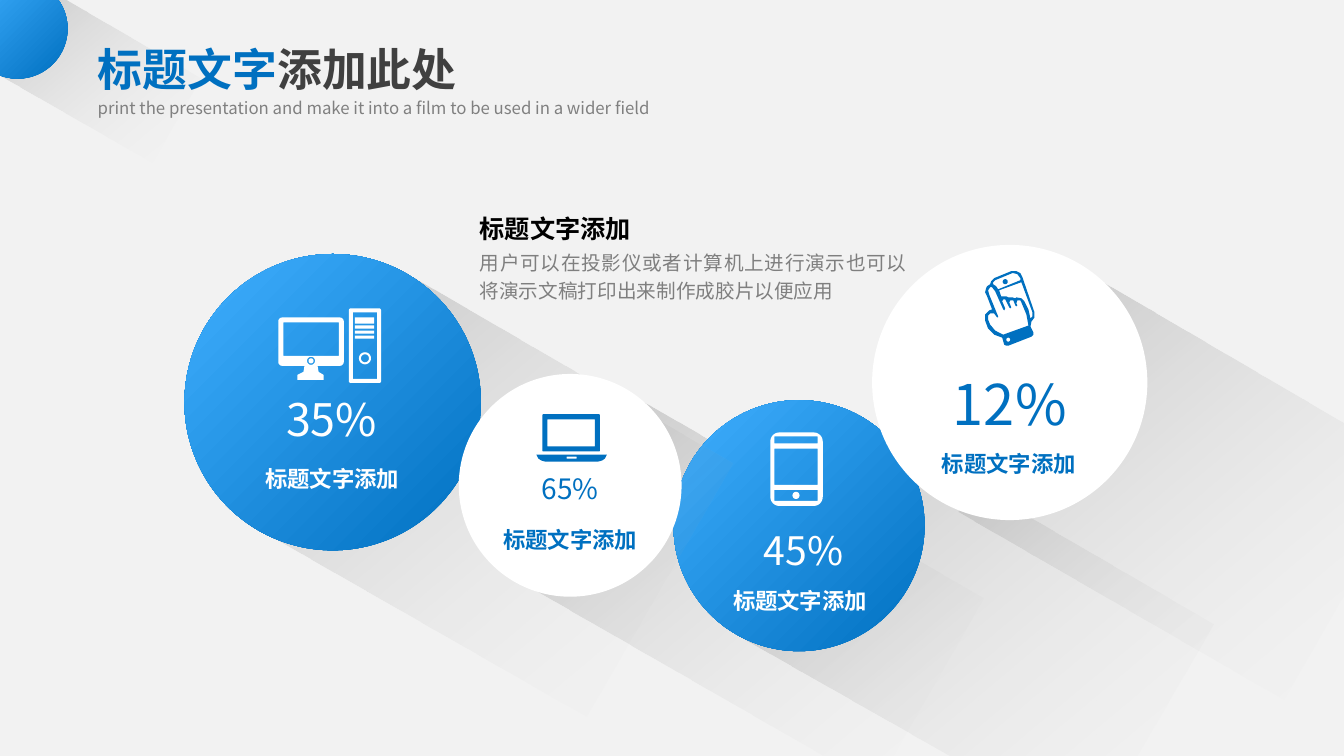
import math

from pptx import Presentation
from pptx.dml.color import RGBColor
from pptx.enum import shapes, text
from pptx.oxml import ns
from lxml import etree

PX = 9144  # EMU in one px, 100 px to the inch
FONT = "Noto Sans CJK SC"
BLUE, SKY, WHITE, PAPER = "0070C0", "40AFFF", "FFFFFF", "F2F2F2"
LEFT, CENTER, JUSTIFY = (text.PP_ALIGN.LEFT, text.PP_ALIGN.CENTER,
                         text.PP_ALIGN.JUSTIFY)
TOP, MIDDLE = text.MSO_ANCHOR.TOP, text.MSO_ANCHOR.MIDDLE
LABEL = "标题文字添加"


def color(value):
    return RGBColor.from_string(value)


def rounded(left, top, right, bottom, radius=0):
    """Corner points of a rectangle, each corner turned into a short arc."""
    if not radius:
        return [(left, top), (right, top), (right, bottom), (left, bottom)]
    centers = [(right - radius, bottom - radius), (left + radius, bottom - radius),
               (left + radius, top + radius), (right - radius, top + radius)]
    points = []
    for quarter, (x, y) in enumerate(centers):
        for step in range(7):
            angle = math.radians(90 * quarter + 15 * step)
            points.append((x + radius * math.cos(angle), y + radius * math.sin(angle)))
    return points


def disc(x, y, radius):
    return rounded(x - radius, y - radius, x + radius, y + radius, radius)


class Slide:
    def __init__(self, deck):
        self.page = deck.slides.add_slide(deck.slide_layouts[5])
        self.page.background.fill.solid()
        self.page.background.fill.fore_color.rgb = color(PAPER)

    def finish(self, shape, fill):
        shape.shadow.inherit = False
        shape.line.fill.background()
        if fill:
            shape.fill.solid()
            shape.fill.fore_color.rgb = color(fill)

    def gradient(self, shape, angle, colors, opacities=()):
        shape.fill.gradient()
        shape.fill.gradient_angle = 360 - angle
        for stop, value in zip(shape.fill.gradient_stops, colors):
            stop.color.rgb = color(value)
        marks = shape.element.spPr.findall(".//" + ns.qn("a:srgbClr"))
        for mark, opacity in zip(marks, opacities):
            etree.SubElement(mark, ns.qn("a:alpha")).set("val", str(opacity * 1000))

    def circle(self, left, top, size, fill=None):
        """A plain circle, or a blue gradient one when no fill is given."""
        shape = self.page.shapes.add_shape(
            shapes.MSO_SHAPE.OVAL, left * PX, top * PX, size * PX, size * PX)
        self.finish(shape, fill)
        if not fill:
            self.gradient(shape, 225, (BLUE, SKY))

    def outline(self, contours, fill=None):
        """One freeform; contours inside others become holes."""
        builder = None
        for contour in contours:
            start, *rest = [(x * PX, y * PX) for x, y in contour]
            if builder is None:
                builder = self.page.shapes.build_freeform(*start, scale=1.0)
            else:
                builder.move_to(*start)
            builder.add_line_segments(rest, close=True)
        shape = builder.convert_to_shape()
        self.finish(shape, fill)
        return shape

    def long_shadow(self, pivot, corners, tilt=30):
        """A fading strip, drawn level and then turned about its pivot."""
        cos, sin = math.cos(math.radians(tilt)), math.sin(math.radians(tilt))
        offsets = [(x - pivot[0], y - pivot[1]) for x, y in corners]
        level = [(pivot[0] + x * cos + y * sin, pivot[1] - x * sin + y * cos)
                 for x, y in offsets]
        shape = self.outline([level])
        shape.rotation = tilt
        self.gradient(shape, 20, ("000000", PAPER), (20, 0))

    def fill_text(self, box, spans, size, bold=False, align=LEFT, spacing=None,
                  wrap=True, anchor=TOP, inset=True):
        """Fill a box with one paragraph of (words, colour) spans."""
        frame = box.text_frame
        frame.auto_size = text.MSO_AUTO_SIZE.NONE
        frame.word_wrap = wrap
        frame.vertical_anchor = anchor
        frame.margin_left = frame.margin_right = 10 * PX * inset
        frame.margin_top = frame.margin_bottom = 5 * PX * inset
        para = frame.paragraphs[0]
        para.alignment = align
        if spacing:
            para.line_spacing = spacing
        for words, value in spans:
            span = para.add_run()
            span.text = words
            span.font.size = size * 12700
            span.font.bold = bold
            span.font.name = FONT
            span.font.color.rgb = color(value)
            east = etree.SubElement(span.font._element, ns.qn("a:ea"))
            east.set("typeface", FONT)

    def label(self, area, words, value, size, **style):
        box = self.page.shapes.add_textbox(*[length * PX for length in area])
        self.fill_text(box, [(words, value)], size, **style)

    def title(self, area, spans, size):
        box = self.page.shapes.title
        box.left, box.top, box.width, box.height = [length * PX for length in area]
        self.page.shapes._spTree.append(box.element)
        self.fill_text(box, spans, size, bold=True, wrap=False)


COMPUTER = [
    rounded(276, 315, 341, 363, 4), rounded(281, 320, 336, 353),
    disc(308.5, 358, 4), disc(308.5, 358, 2.5),
    [(302, 363), (315, 363), (316, 369), (321, 372), (321, 377),
     (295, 377), (295, 372), (301, 369)],
    rounded(346, 306, 378, 380, 2), rounded(350, 310, 374, 376),
    disc(362, 355.5, 6), disc(362, 355.5, 4), rounded(352, 315, 371, 321),
    *[rounded(352, top, 371, top + 3) for top in (323, 328, 333)],
]
LAPTOP = [
    rounded(538, 411, 595, 448, 1), rounded(543, 416, 590, 443),
    [(532, 451), (602, 451), (600, 455), (597, 457), (593, 458),
     (541, 458), (537, 457), (534, 455)],
    rounded(562, 453, 572, 455),
]
PHONE = [
    rounded(764, 429, 816, 502, 9), rounded(768, 433, 811, 440),
    rounded(768, 445, 811, 481), rounded(768, 486, 811, 497),
    disc(789.5, 491.5, 3.5),
]
HAND = [
    [(1004, 269), (1003, 269), (986, 276), (983, 279), (982, 282), (979, 284),
     (978, 286), (977, 290), (979, 294), (984, 307), (981, 308), (977, 312),
     (977, 318), (980, 326), (986, 332), (994, 335), (996, 342), (998, 343),
     (1000, 343), (1023, 334), (1025, 332), (1025, 330), (1022, 324),
     (1023, 319), (1026, 315), (1026, 310), (1014, 275), (1012, 271), (1008, 269)],
    [(1005, 271), (1009, 272), (1012, 276), (1012, 278), (990, 287), (988, 284),
     (985, 282), (985, 280), (987, 278), (1004, 271)],
    disc(997, 279.5, 2.5),
    [(1013, 280), (1024, 310), (1024, 314), (1022, 316), (1020, 307), (1016, 299),
     (1013, 296), (1008, 295), (1007, 296), (1004, 295), (1000, 295), (998, 294),
     (994, 294), (993, 294), (991, 288)],
    [(984, 285), (987, 289), (995, 307), (996, 308), (997, 306), (994, 299),
     (995, 297), (997, 297), (998, 299), (1001, 305), (1002, 306), (1003, 305),
     (1001, 300), (1002, 298), (1005, 298), (1007, 303), (1008, 304), (1009, 303),
     (1008, 301), (1009, 298), (1012, 298), (1013, 300), (1018, 312), (1020, 323),
     (995, 332), (987, 328), (982, 322), (980, 317), (980, 313), (982, 311),
     (986, 311), (989, 315), (990, 315), (990, 314), (981, 292), (980, 288),
     (982, 285)],
    disc(1000, 337, 2),
]


def main():
    deck = Presentation()
    deck.slide_width, deck.slide_height = 1333 * PX, 750 * PX
    slide = Slide(deck)

    slide.long_shadow((748, 587), [(522, 581), (634, 397), (975, 594), (868, 780)])
    slide.long_shadow((970, 625), [(736, 633), (873, 427), (1203, 619), (1081, 829)])
    slide.circle(668, 397, 249)
    slide.long_shadow((495, 493), [(266, 531), (410, 276), (726, 460), (581, 711)])
    slide.circle(183, 252, 294)
    slide.long_shadow((1178, 484), [(950, 508), (1096, 282), (1406, 463), (1273, 694)])
    slide.circle(865, 243, 273, WHITE)
    slide.circle(455, 371, 221, WHITE)
    slide.long_shadow((96, 74), [(-7, 71), (45, -12), (199, 78), (151, 162)])
    slide.circle(-32, -21, 99)

    devices = [
        (COMPUTER, WHITE, "35%", 32, (234, 389, 190, 74), TOP, (237, 451)),
        (LAPTOP, BLUE, "65%", 20, (492, 468, 147, 65), TOP, (473, 512)),
        (PHONE, WHITE, "45%", 28, (718, 513, 158, 65), MIDDLE, (701, 572)),
        (HAND, BLUE, "12%", 40, (914, 357, 175, 85), MIDDLE, (908, 436)),
    ]
    for icon, value, share, size, area, anchor, corner in devices:
        slide.outline(icon, value)
        slide.label(area, share, value, size, align=CENTER, wrap=False,
                    anchor=anchor, inset=False)
        slide.label((*corner, 185, 40), LABEL, value, 16, bold=True,
                    align=CENTER, spacing=1.2)

    slide.title((87, 36, 379, 64), [("标题文字", BLUE), ("添加此处", "404040")], 32)
    slide.label((87, 87, 629, 33), "print the presentation and make it into a film "
                "to be used in a wider field", "808080", 12, spacing=1.25)
    slide.label((466, 239, 443, 67), "用户可以在投影仪或者计算机上进行演示也可以"
                "将演示文稿打印出来制作成胶片以便应用", "7F7F7F", 14,
                align=JUSTIFY, spacing=1.2)
    slide.label((466, 201, 245, 43), LABEL, "000000", 18, bold=True,
                align=JUSTIFY, spacing=1.2)
    deck.save("out.pptx")


if __name__ == "__main__":
    main()
